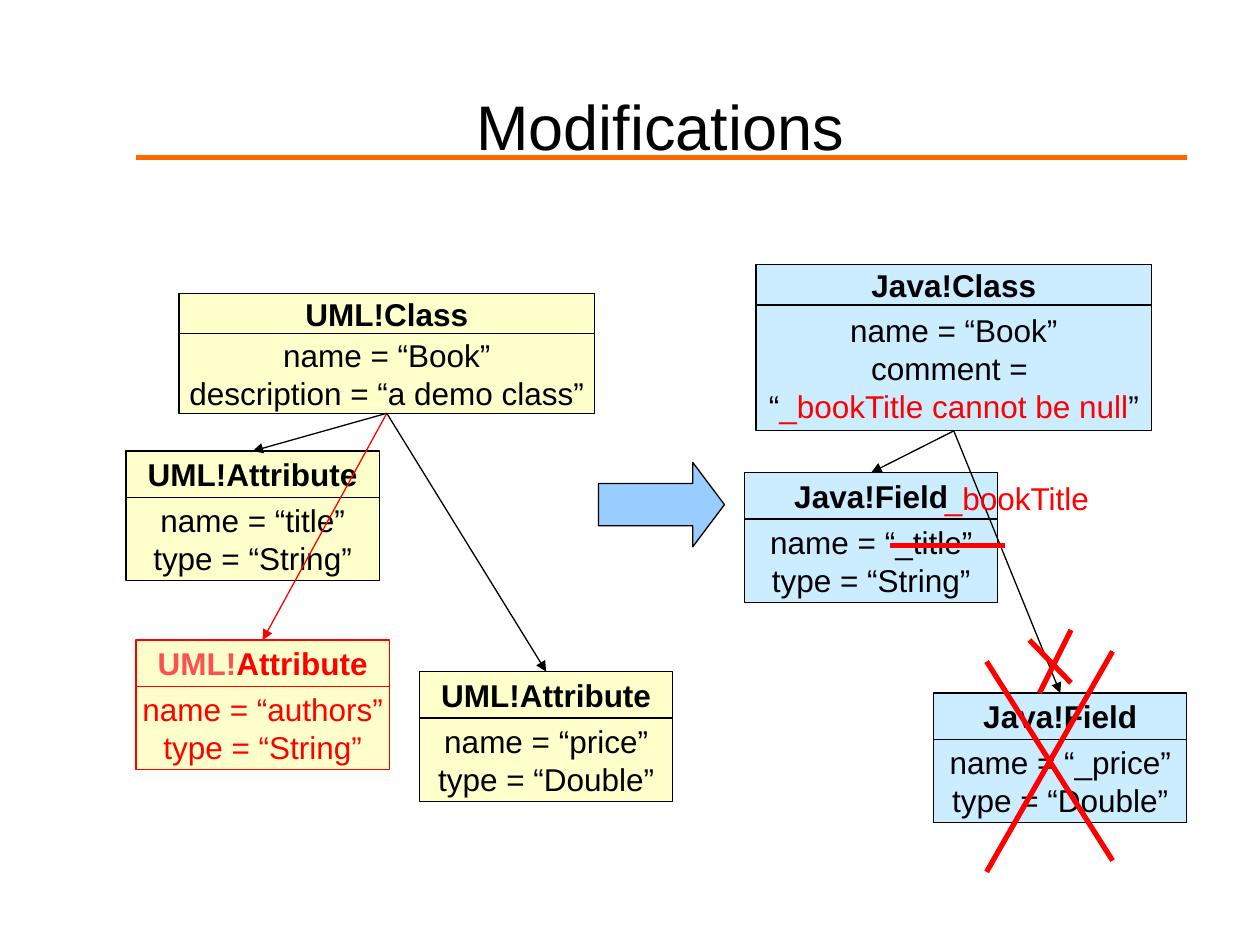
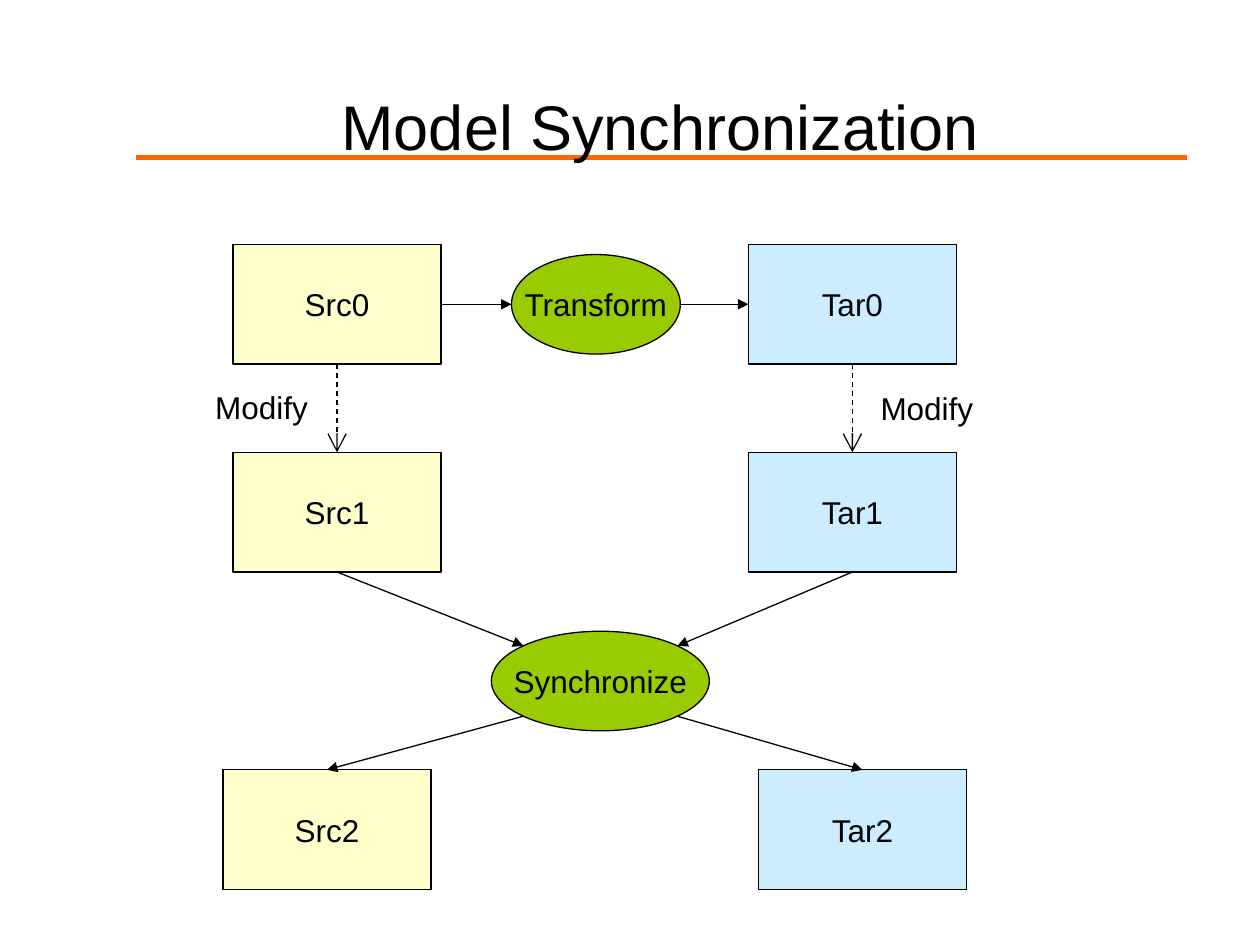
from pptx import Presentation
from pptx import util as u
from pptx.dml.color import RGBColor
from pptx.enum import dml, shapes, text
from pptx.oxml import ns, xmlchemy

COLORS = {
    "ink": "000000", "rule": "FF6600", "source": "FFFFCC", "target": "CCECFF",
    "change": "FF0000", "faded": "FF5050", "arrow": "99CCFF", "process": "99CC00",
}
FONT = "Arial"
BODY_SIZE, TITLE_SIZE = 18, 36
TOP, LEFT, BOTTOM, RIGHT = range(4)  # connection sites of a rectangle
DIAGONAL = 0.5 ** 0.5


def rgb(name):
    return RGBColor.from_string(COLORS[name])


def inches(*lengths):
    return [u.Inches(length) for length in lengths]


# ---- Shared building blocks ----
def write(frame, rows, color="ink", bold=False, size=BODY_SIZE, center=True):
    """Each row is a string or a list of (words, color); "\n" breaks the line."""
    frame.word_wrap = False
    for index, row in enumerate(rows):
        line = frame.paragraphs[0] if index == 0 else frame.add_paragraph()
        line.alignment = text.PP_ALIGN.CENTER if center else text.PP_ALIGN.LEFT
        for words, tint in ([(row, color)] if isinstance(row, str) else row):
            if words == "\n":
                line.add_line_break()
                continue
            run = line.add_run()
            run.text = words
            run.font.name, run.font.size, run.font.bold = FONT, u.Pt(size), bold
            run.font.color.rgb = rgb(tint)


def add_box(parent, box, fill, rows=(), line="ink", kind="RECTANGLE", **style):
    shape = parent.shapes.add_shape(shapes.MSO_SHAPE[kind], *inches(*box))
    shape.shadow.inherit = False
    shape.fill.solid()
    shape.fill.fore_color.rgb = rgb(fill)
    shape.line.color.rgb = rgb(line)
    shape.line.width = u.Pt(0.75)
    shape.text_frame.vertical_anchor = text.MSO_ANCHOR.MIDDLE
    write(shape.text_frame, rows, **style)
    return shape


def add_label(slide, box, words, color="ink"):
    label = slide.shapes.add_textbox(*inches(*box))
    write(label.text_frame, [words], color, center=False)
    label.text_frame.auto_size = text.MSO_AUTO_SIZE.SHAPE_TO_FIT_TEXT


def add_line(slide, start, end, color="ink", width=0.75, head=None, dashed=False):
    """Each end is a point (x, y) in inches or a pair (shape, connection site)."""
    glued = [not isinstance(stop[0], (int, float)) for stop in (start, end)]
    points = [(0, 0) if glue else stop for glue, stop in zip(glued, (start, end))]
    line = slide.shapes.add_connector(
        shapes.MSO_CONNECTOR.STRAIGHT, *inches(*points[0], *points[1]))
    if glued[0]:
        line.begin_connect(*start)
    if glued[1]:
        line.end_connect(*end)
    line.line.color.rgb = rgb(color)
    line.line.width = u.Pt(width)
    if dashed:
        line.line.dash_style = dml.MSO_LINE.DASH
    properties = line.element.spPr
    if head:
        tip = xmlchemy.OxmlElement("a:tailEnd")
        tip.set("type", head)
        if head == "arrow":  # open heads are drawn large
            tip.set("w", "lg")
            tip.set("len", "lg")
        properties.find(ns.qn("a:ln")).append(tip)
    properties.append(xmlchemy.OxmlElement("a:effectLst"))
    return line


def add_titled_slide(deck, heading):
    slide = deck.slides.add_slide(deck.slide_layouts.get_by_name("Title Only"))
    title = slide.shapes.title
    title.left, title.top, title.width, title.height = inches(0.91, 0.6, 8.66, 0.79)
    write(title.text_frame, [heading], size=TITLE_SIZE)
    title.text_frame.word_wrap = True
    title.text_frame.auto_size = text.MSO_AUTO_SIZE.NONE
    title.text_frame.vertical_anchor = text.MSO_ANCHOR.MIDDLE
    # The rule lies behind the title
    rule = add_line(slide, (1.08, 1.25), (9.42, 1.25), "rule", 2.75)
    title.element.addprevious(rule.element)
    return slide


# ---- Slide 1: model objects and their modifications ----
def add_object(slide, left, top, fill, name, rows, width=2.01, heights=(0.37, 0.66),
               color="ink"):
    """A name cell above a cell of properties; returns both cells."""
    card = slide.shapes.add_group_shape()
    name_height, rows_height = heights
    name_cell = add_box(card, (left, top, width, name_height), fill, [name],
                        color, color=color, bold=True)
    rows_cell = add_box(card, (left, top + name_height, width, rows_height), fill,
                        rows, color, color=color)
    return name_cell, rows_cell


def add_source_model(slide):
    _, book = add_object(slide, 1.42, 2.33, "source", "UML!Class",
                         ["name = “Book”", "description = “a demo class”"],
                         3.3, (0.32, 0.63))
    title, _ = add_object(slide, 1, 3.58, "source", "UML!Attribute",
                          ["name = “title”", "type = “String”"])
    price, _ = add_object(slide, 3.33, 5.33, "source", "UML!Attribute",
                          ["name = “price”", "type = “Double”"])
    authors, _ = add_object(slide, 1.08, 5.08, "source",
                            [("UML!", "faded"), ("Attribute", "change")],
                            ["name = “authors”", "type = “String”"], color="change")
    for attribute, color in ((authors, "change"), (title, "ink"), (price, "ink")):
        add_line(slide, (book, BOTTOM), (attribute, TOP), color, head="triangle")


def add_target_model(slide):
    comment = [("comment = ", "ink"), ("\n", "ink"), ("“", "ink"),
               ("_bookTitle cannot be null", "change"), ("”", "ink")]
    _, book = add_object(slide, 6, 2.1, "target", "Java!Class",
                         ["name = “Book”", comment], 3.14, (0.32, 1))
    title, _ = add_object(slide, 5.91, 3.75, "target", "Java!Field",
                          ["name = “_title”", "type = “String”"])
    price, _ = add_object(slide, 7.41, 5.5, "target", "Java!Field",
                          ["name = “_price”", "type = “Double”"])
    for field in (title, price):
        add_line(slide, (book, BOTTOM), (field, TOP), head="triangle")


def add_target_changes(slide):
    add_label(slide, (7.4, 3.75, 1.35, 0.4), "_bookTitle", "change")
    strokes = [
        ((7.06, 4.33), (7.98, 4.33)),  # old field name
        ((7.83, 6.92), (8.83, 5.17)), ((7.83, 5.25), (8.83, 6.83)),  # price field
        ((8.25, 5.5), (8.5, 5)), ((8.17, 5.08), (8.5, 5.42)),  # its reference
    ]
    for start, end in strokes:
        add_line(slide, start, end, "change", 3)


def build_modifications(deck):
    slide = add_titled_slide(deck, "Modifications")
    add_source_model(slide)
    transformation = add_box(slide, (4.75, 3.67, 1, 0.67), "arrow", kind="RIGHT_ARROW")
    transformation.adjustments[1] = 0.375
    add_target_model(slide)
    add_target_changes(slide)


# ---- Slide 2: synchronization flow ----
def add_versions(slide, name, fill, lefts):
    """Three versions of a model, the second one modified from the first."""
    versions = [add_box(slide, (left, top, 1.65, 0.95), fill, [f"{name}{number}"])
                for number, (left, top) in enumerate(zip(lefts, (1.94, 3.59, 6.11)))]
    add_line(slide, (versions[0], BOTTOM), (versions[1], TOP), head="arrow", dashed=True)
    return versions


def add_process(slide, box, name):
    """An oval; returns a function giving the point on its edge in a direction."""
    left, top, width, height = box
    add_box(slide, box, "process", [name], kind="OVAL")
    return lambda dx, dy: (left + width / 2 * (1 + dx), top + height / 2 * (1 + dy))


def build_synchronization(deck):
    slide = add_titled_slide(deck, "Model Synchronization")
    sources = add_versions(slide, "Src", "source", (1.85, 1.85, 1.77))
    targets = add_versions(slide, "Tar", "target", (5.94, 5.94, 6.02))

    # Transform turns the first source into the first target
    transform = add_process(slide, (4.06, 2.02, 1.34, 0.79), "Transform")
    add_line(slide, (sources[0], RIGHT), transform(-1, 0), head="triangle")
    add_line(slide, transform(1, 0), (targets[0], LEFT), head="triangle")

    # Synchronize merges both modified models
    synchronize = add_process(slide, (3.9, 5.01, 1.73, 0.79), "Synchronize")
    for (_, modified, merged), side in ((sources, -DIAGONAL), (targets, DIAGONAL)):
        add_line(slide, (modified, BOTTOM), synchronize(side, -DIAGONAL), head="triangle")
        add_line(slide, synchronize(side, DIAGONAL), (merged, TOP), head="triangle")

    for left, top in ((1.61, 3.03), (6.89, 3.04)):
        add_label(slide, (left, top, 0.96, 0.4), "Modify")


def main():
    deck = Presentation()
    deck.slide_width, deck.slide_height = inches(10, 7.5)
    build_modifications(deck)
    build_synchronization(deck)
    deck.save("out.pptx")


if __name__ == "__main__":
    main()
